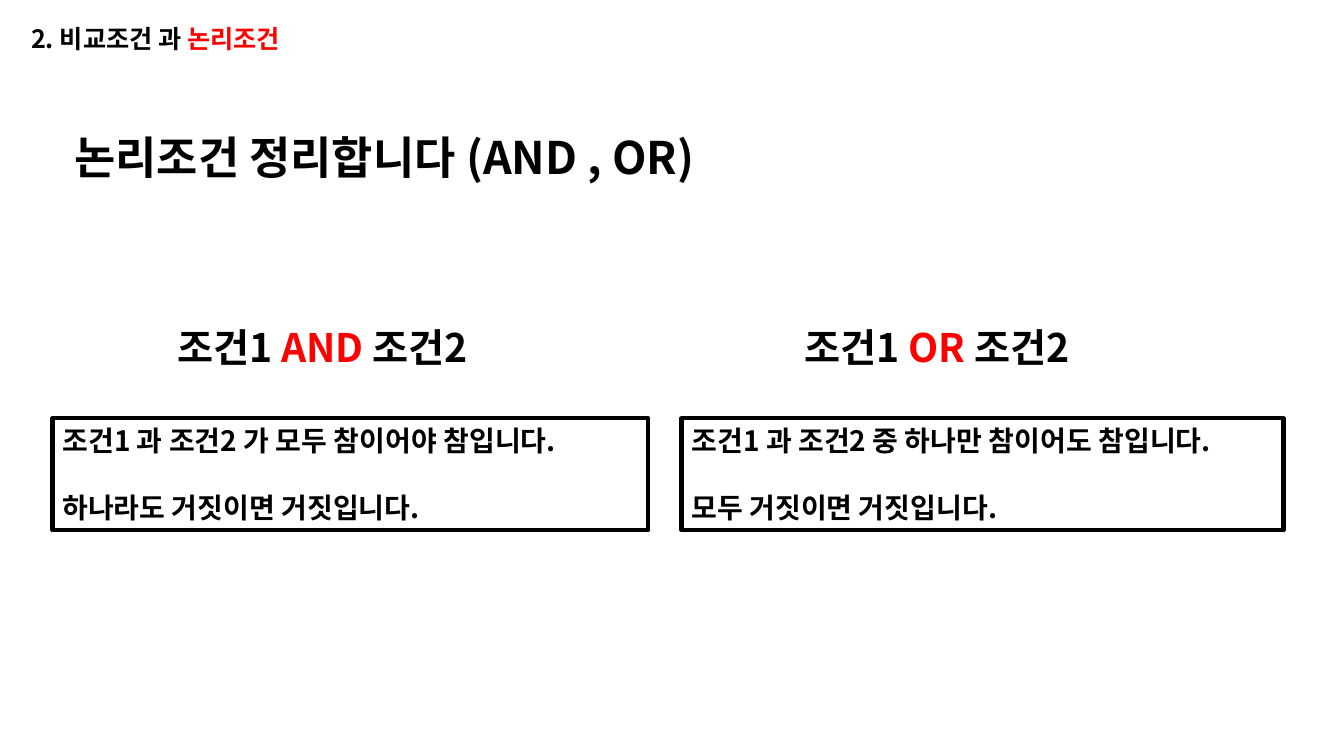
"""Build the slide that sums up the AND and OR logical conditions."""
from dataclasses import dataclass

from lxml import etree
from pptx import Presentation
from pptx import util as u
from pptx.dml.color import RGBColor
from pptx.enum import shapes, text
from pptx.oxml import ns

FONT = "Noto Sans CJK KR"
BLACK = RGBColor(0, 0, 0)
RED = RGBColor(255, 0, 0)


@dataclass(frozen=True)
class Run:
    words: str
    color: RGBColor = BLACK


@dataclass(frozen=True)
class Label:
    left: float
    top: float
    width: float
    height: float
    size: int
    runs: tuple[Run, ...]
    space_after: int = 0


@dataclass(frozen=True)
class Rule:
    operator: str
    heading_left: float
    heading_width: float
    box_left: float
    box_width: float
    lines: tuple[str, str]


LABELS = (
    Label(0.64, 1.24, 11.53, 0.64, 32, (Run("논리조건 정리합니다 (AND , OR)"),)),
    Label(0.21, 0.18, 3.31, 0.4, 18, (Run("2. 비교조건 과 "), Run("논리조건", RED)), 6),
)
RULES = (
    Rule("AND", 1.66, 3.71, 0.52, 5.91,
         ("조건1 과 조건2 가 모두 참이어야 참입니다.", "하나라도 거짓이면 거짓입니다.")),
    Rule("OR", 7.88, 3.41, 6.76, 5.97,
         ("조건1 과 조건2 중 하나만 참이어도 참입니다.", "모두 거짓이면 거짓입니다.")),
)


def style_paragraph(paragraph, size: int) -> None:
    """Give a paragraph its bold black font for Latin and Korean letters."""
    paragraph.alignment = text.PP_ALIGN.LEFT
    font = paragraph.font
    font.size, font.bold, font.name = u.Pt(size), True, FONT
    font.color.rgb = BLACK
    properties = paragraph._p.pPr.find(ns.qn("a:defRPr"))
    etree.SubElement(properties, ns.qn("a:ea")).set("typeface", FONT)


def fit_frame(frame) -> None:
    """Make a text frame wrap, start at the top and fit its text."""
    frame.word_wrap = True
    frame.vertical_anchor = text.MSO_ANCHOR.TOP
    frame.auto_size = text.MSO_AUTO_SIZE.SHAPE_TO_FIT_TEXT


def add_label(slide, label: Label) -> None:
    """Add a one-line text box."""
    position = map(u.Inches, (label.left, label.top, label.width, label.height))
    frame = slide.shapes.add_textbox(*position).text_frame
    fit_frame(frame)
    paragraph = frame.paragraphs[0]
    if label.space_after:
        paragraph.space_after = u.Pt(label.space_after)
    style_paragraph(paragraph, label.size)
    for part in label.runs:
        run = paragraph.add_run()
        run.text = part.words
        if part.color != BLACK:
            run.font.color.rgb = part.color


def add_rule(slide, rule: Rule) -> None:
    """Add a heading and the outlined box that explains it."""
    runs = (Run("조건1 "), Run(f"{rule.operator} ", RED), Run("조건2"))
    add_label(slide, Label(rule.heading_left, 3.16, rule.heading_width, 0.57, 28, runs))
    position = map(u.Inches, (rule.box_left, 4.15, rule.box_width, 1.11))
    shape = slide.shapes.add_shape(shapes.MSO_SHAPE.RECTANGLE, *position)
    shape.shadow.inherit = False
    shape.fill.background()
    shape.line.color.rgb = BLACK
    shape.line.width = u.Pt(3)
    frame = shape.text_frame
    fit_frame(frame)
    frame.text = "\n".join(rule.lines)
    for paragraph in frame.paragraphs:
        style_paragraph(paragraph, 20)
    frame.paragraphs[1].space_before = u.Pt(24)


def main() -> None:
    """Create and save the presentation."""
    presentation = Presentation()
    presentation.slide_width = u.Inches(13.33)
    presentation.slide_height = u.Inches(7.5)
    slide = presentation.slides.add_slide(presentation.slide_layouts[6])
    for label in LABELS:
        add_label(slide, label)
    for rule in RULES:
        add_rule(slide, rule)
    presentation.save("out.pptx")


if __name__ == "__main__":
    main()
